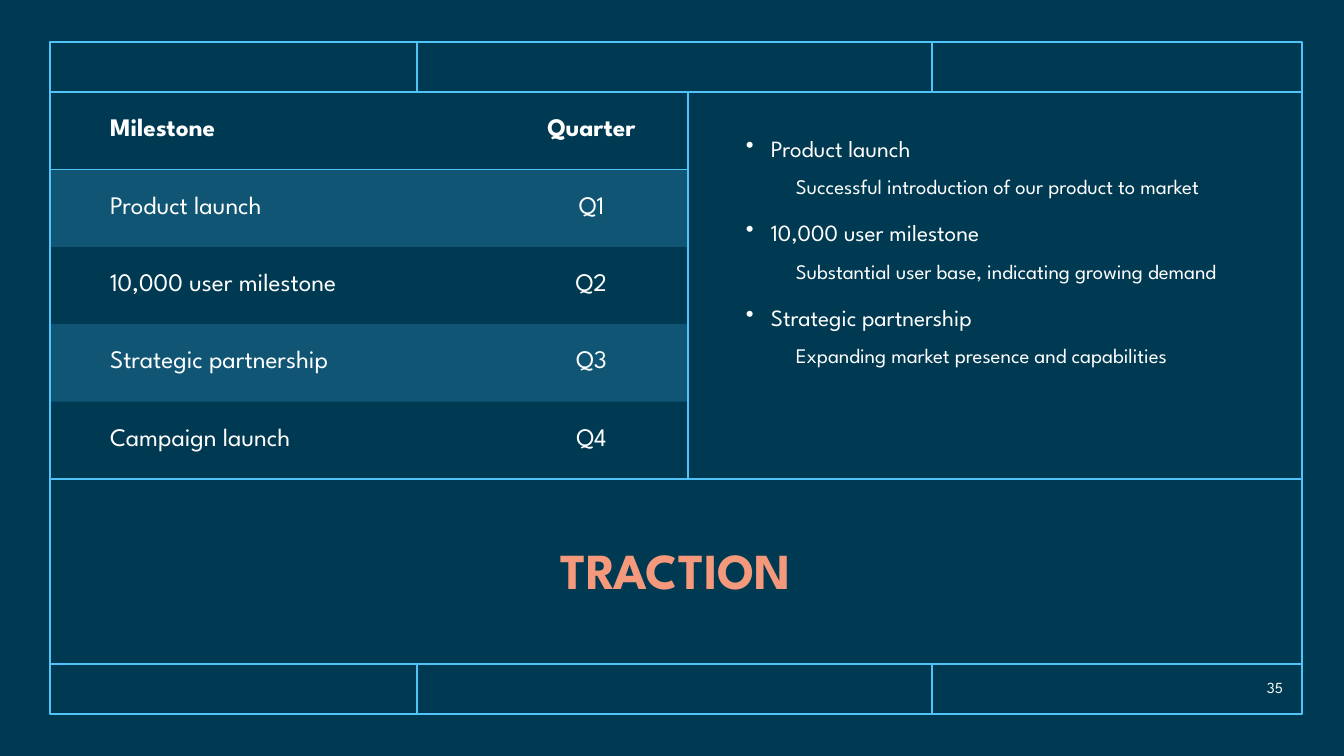
from collections import namedtuple
from dataclasses import dataclass

from lxml import etree
from pptx import Presentation
from pptx.dml.color import RGBColor
from pptx.enum.shapes import MSO_CONNECTOR, MSO_SHAPE
from pptx.enum.text import MSO_ANCHOR, MSO_AUTO_SIZE, PP_ALIGN
from pptx.oxml.ns import qn
from pptx.util import Pt

STRAIGHT = MSO_CONNECTOR.STRAIGHT
RECTANGLE = MSO_SHAPE.RECTANGLE
MIDDLE = MSO_ANCHOR.MIDDLE
TOP = MSO_ANCHOR.TOP
NO_AUTOFIT = MSO_AUTO_SIZE.NONE
LEFT, CENTER, RIGHT = PP_ALIGN.LEFT, PP_ALIGN.CENTER, PP_ALIGN.RIGHT

PAGE_WIDTH, PAGE_HEIGHT = 1344, 756
EMU_PER_PX = 12192000 / PAGE_WIDTH
PLAIN_TABLE_STYLE = "{2D5ABB26-0587-4C30-8999-92F81FD0307C}"

Box = namedtuple("Box", "left top width height")


@dataclass(frozen=True)
class Theme:
    background: str = "003A52"
    line: str = "51C3F9"
    title: str = "F4997C"
    text: str = "FFFFFF"
    font: str = "League Spartan"
    title_size: float = 36
    table_size: float = 18
    point_size: float = 16.6
    detail_size: float = 14.8
    number_size: float = 11
    line_width: float = 1
    band_opacity: int = 20


THEME = Theme()

MILESTONES = [
    ("Milestone", "Quarter"),
    ("Product launch", "Q1"),
    ("10,000 user milestone", "Q2"),
    ("Strategic partnership", "Q3"),
    ("Campaign launch", "Q4"),
]
POINTS = [
    ("Product launch", "Successful introduction of our product to market"),
    ("10,000 user milestone", "Substantial user base, indicating growing demand"),
    ("Strategic partnership", "Expanding market presence and capabilities"),
]


def px(length):
    return round(length * EMU_PER_PX)


def scaled(box):
    return [px(length) for length in box]


def color(code):
    return RGBColor.from_string(code)


def style_para(para, size, code=THEME.text, bold=False, align=LEFT):
    para.alignment = align
    para.font.name = THEME.font
    para.font.size = Pt(size)
    para.font.bold = bold
    para.font.color.rgb = color(code)


def prepare_frame(frame, anchor):
    frame.word_wrap = True
    frame.auto_size = NO_AUTOFIT
    frame.vertical_anchor = anchor


def add_line(page, x1, y1, x2, y2):
    line = page.shapes.add_connector(STRAIGHT, px(x1), px(y1), px(x2), px(y2))
    line.line.color.rgb = color(THEME.line)
    line.line.width = Pt(THEME.line_width)
    etree.SubElement(line._element.spPr, qn("a:effectLst"))


def add_grid(page, box, strip, middle_height, split):
    left, top, width, height = box
    right, bottom = left + width, top + height
    upper, lower = top + strip, bottom - strip
    middle = upper + middle_height

    frame = page.shapes.add_shape(RECTANGLE, *scaled(box))
    frame.shadow.inherit = False
    frame.fill.background()
    frame.line.color.rgb = color(THEME.line)
    frame.line.width = Pt(THEME.line_width)

    for x in (left + 367, left + 882):
        add_line(page, x, top, x, upper)
        add_line(page, x, lower, x, bottom)
    for y in (upper, middle, lower):
        add_line(page, left, y, right, y)
    add_line(page, left + split, upper, left + split, middle)


def add_title(page, box):
    title = page.shapes.title
    title.left, title.top, title.width, title.height = scaled(box)
    frame = title.text_frame
    prepare_frame(frame, MIDDLE)
    para = frame.paragraphs[0]
    para.text = "TRACTION"
    para.line_spacing = 0.9
    style_para(para, THEME.title_size, THEME.title, True, CENTER)


def add_border(cell, side, position):
    border = etree.Element(qn(f"a:{side}"), w=str(Pt(THEME.line_width)))
    fill = etree.SubElement(border, qn("a:solidFill"))
    etree.SubElement(fill, qn("a:srgbClr"), val=THEME.line)
    cell._tc.get_or_add_tcPr().insert(position, border)


def fill_band(cell):
    cell.fill.solid()
    cell.fill.fore_color.rgb = color(THEME.line)
    shade = cell._tc.tcPr.find(".//" + qn("a:srgbClr"))
    etree.SubElement(shade, qn("a:alpha"), val=str(THEME.band_opacity * 1000))


def add_milestones(page, box):
    margin, quarter = 50, 193
    widths = (margin, box.width - margin - quarter, quarter)
    table = page.shapes.add_table(len(MILESTONES), len(widths), *scaled(box)).table
    table.first_row = table.horz_banding = False
    table._tbl.tblPr.find(qn("a:tableStyleId")).text = PLAIN_TABLE_STYLE
    for column, width in zip(table.columns, widths):
        column.width = px(width)
    for index, (row, words) in enumerate(zip(table.rows, MILESTONES)):
        row.height = px(box.height / len(MILESTONES))
        header = index == 0
        for cell, text, align in zip(row.cells, ("", *words), (LEFT, LEFT, CENTER)):
            cell.vertical_anchor = MIDDLE
            if index % 2:
                fill_band(cell)
            else:
                cell.fill.background()
            if header:
                add_border(cell, "lnT", 0)
                add_border(cell, "lnB", 1)
            if text:
                para = cell.text_frame.paragraphs[0]
                para.text = text
                style_para(para, THEME.table_size, bold=header, align=align)


def indent_para(para, margin, hanging, bullet):
    settings = para._p.get_or_add_pPr()
    settings.set("marL", str(px(margin)))
    settings.set("indent", str(px(-hanging)))
    if bullet:
        tint = etree.SubElement(settings, qn("a:buClr"))
        etree.SubElement(tint, qn("a:srgbClr"), val=THEME.text)
        etree.SubElement(settings, qn("a:buChar"), char="•")


def add_points(page, box):
    frame = page.shapes.add_textbox(*scaled(box)).text_frame
    prepare_frame(frame, TOP)
    for index, pair in enumerate(POINTS):
        for level, text in enumerate(pair):
            first = index == level == 0
            para = frame.paragraphs[0] if first else frame.add_paragraph()
            para.text = text
            para.level = level
            para.line_spacing = 0.8
            if not first:
                para.space_before = Pt(12 if level else 18)
            indent_para(para, 50 if level else 25, 0 if level else 25, not level)
            style_para(para, THEME.detail_size if level else THEME.point_size)


def add_page_number(page, box):
    frame = page.shapes.add_textbox(*scaled(box)).text_frame
    prepare_frame(frame, MIDDLE)
    para = frame.paragraphs[0]
    para.text = "35"
    style_para(para, THEME.number_size, align=RIGHT)


def main():
    deck = Presentation()
    deck.slide_width, deck.slide_height = px(PAGE_WIDTH), px(PAGE_HEIGHT)
    page = deck.slides.add_slide(deck.slide_layouts[5])
    page.background.fill.solid()
    page.background.fill.fore_color.rgb = color(THEME.background)

    add_grid(page, Box(50, 42, 1252, 672), strip=50, middle_height=387, split=638)
    add_title(page, Box(50, 481, 1252, 184))
    add_milestones(page, Box(50, 92, 638, 387))
    add_points(page, Box(736, 135, 512, 310))
    add_page_number(page, Box(1200, 672, 93, 30))
    deck.save("out.pptx")


if __name__ == "__main__":
    main()
